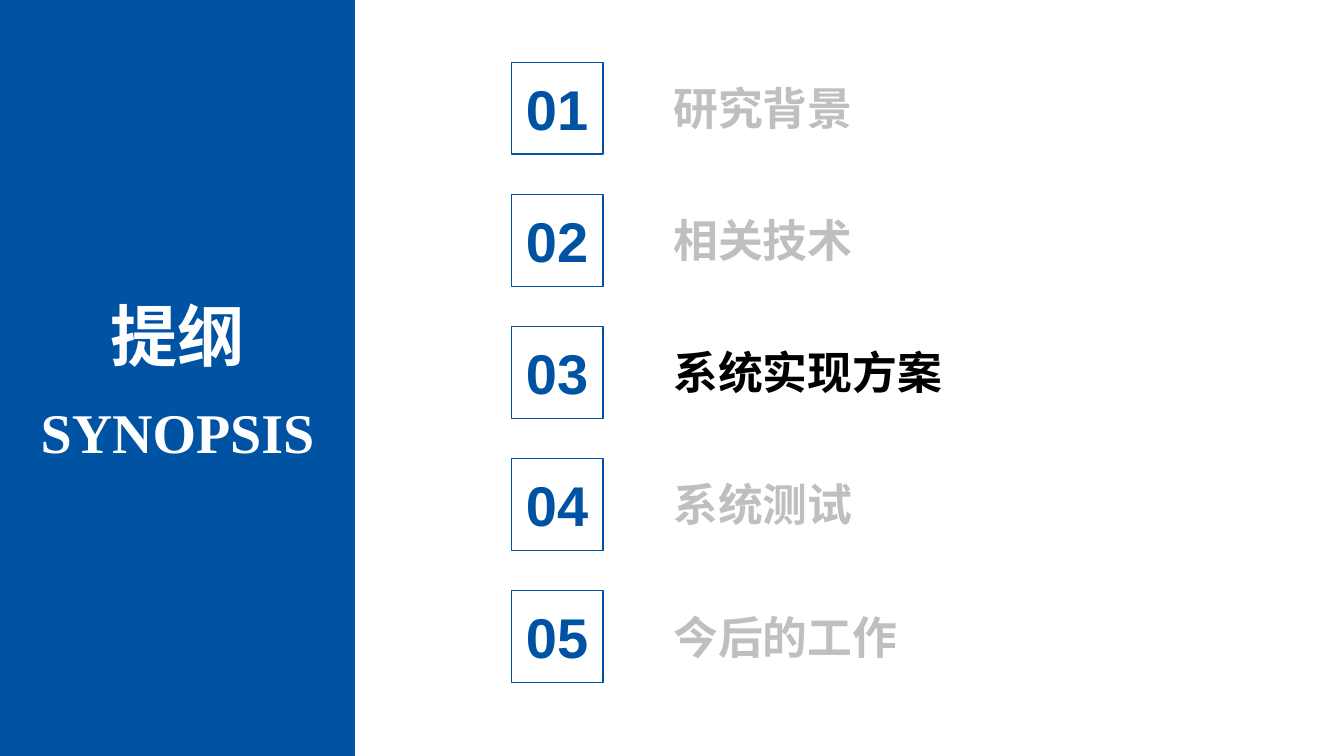
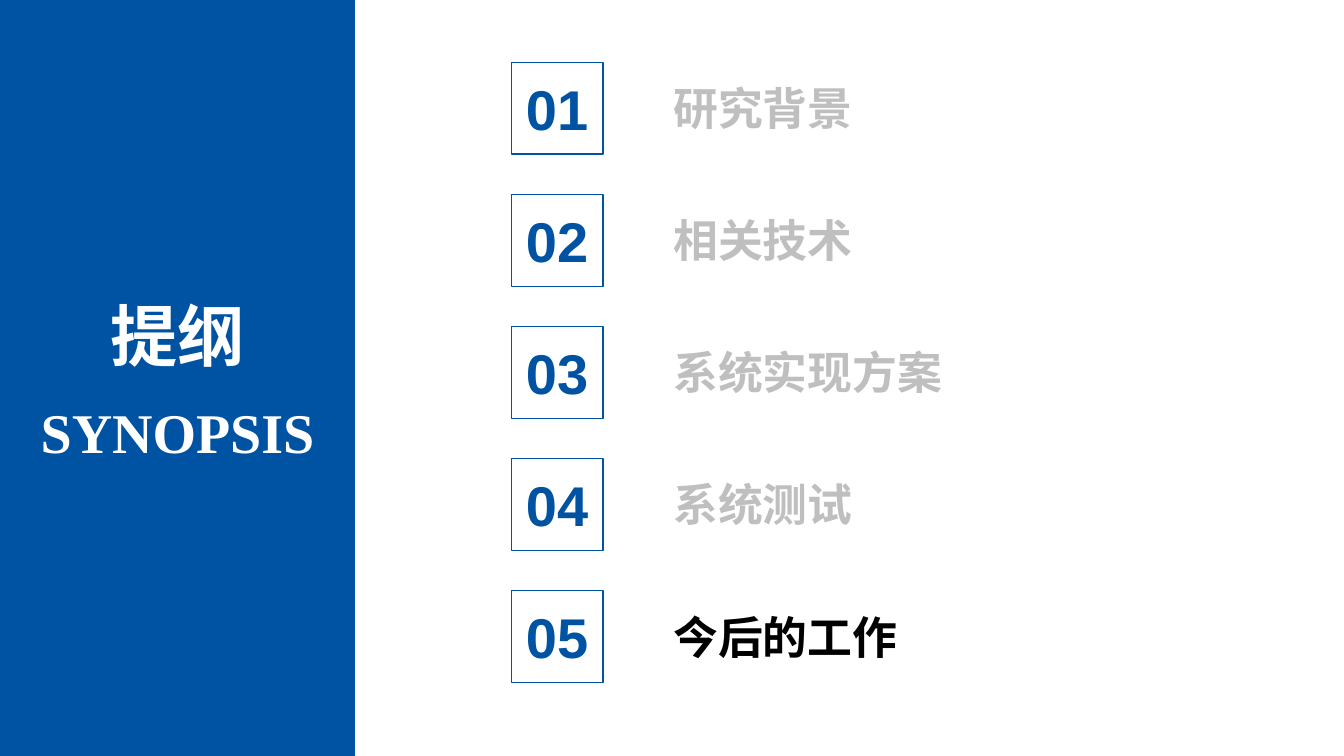
import lxml.etree
import pptx
import pptx.dml.color
import pptx.enum.shapes
import pptx.enum.text
import pptx.oxml.ns
import pptx.util

# Shared look
WIDTH, HEIGHT = 13.33, 7.5
BLUE, WHITE, BLACK, GREY = "0053A3", "FFFFFF", "000000", "BFBFBF"
CJK, LATIN, SERIF = "Noto Sans CJK SC", "Arial", "Times New Roman"

# Layout: a side panel, then one row per section
PANEL_W = 3.52
NUMBER_X, LABEL_X = 5.07, 6.58
NUMBER_SIZE = 0.91
LABEL_W, LABEL_H = 3.97, 0.64
FIRST_ROW, ROW_STEP = 0.62, 1.31

SECTIONS = ["研究背景", "相关技术", "系统实现方案", "系统测试", "今后的工作"]


def rgb(color):
    return pptx.dml.color.RGBColor.from_string(color)


def box(*lengths):
    return [pptx.util.Inches(length) for length in lengths]


def write(tf, text, size, font, color, centred=True):
    p = tf.paragraphs[0]
    p.text = text
    if centred:
        p.alignment = pptx.enum.text.PP_ALIGN.CENTER
    p.font.size = pptx.util.Pt(size)
    p.font.bold = True
    p.font.name = font
    p.font.color.rgb = rgb(color)
    # East Asian characters take their font from a:ea
    latin = p._p.find(".//" + pptx.oxml.ns.qn("a:latin"))
    ea = lxml.etree.Element(pptx.oxml.ns.qn("a:ea"), typeface=font)
    latin.addnext(ea)


def add_text(shapes, at, text, size, font, color, centred=True):
    tf = shapes.add_textbox(*box(*at)).text_frame
    tf.word_wrap = True
    tf.auto_size = pptx.enum.text.MSO_AUTO_SIZE.SHAPE_TO_FIT_TEXT
    write(tf, text, size, font, color, centred)


def add_rect(shapes, at, fill=None, line=None):
    sp = shapes.add_shape(pptx.enum.shapes.MSO_SHAPE.RECTANGLE, *box(*at))
    sp.shadow.inherit = False
    if fill:
        sp.fill.solid()
        sp.fill.fore_color.rgb = rgb(fill)
    else:
        sp.fill.background()
    if line:
        sp.line.color.rgb = rgb(line)
        sp.line.width = pptx.util.Pt(1)
    else:
        sp.line.fill.background()
    return sp


def add_panel(s):
    add_rect(s.shapes, (0, 0, PANEL_W, HEIGHT), fill=BLUE)
    add_text(s.shapes, (0, 2.87, PANEL_W, 0.91), "提纲", 48, CJK, WHITE)
    add_text(s.shapes, (0, 3.89, PANEL_W, 0.77), "SYNOPSIS", 40, SERIF, WHITE)


def add_section(s, row, label, color):
    top = FIRST_ROW + row * ROW_STEP
    label_top = top + (NUMBER_SIZE - LABEL_H) / 2
    shapes = s.shapes.add_group_shape().shapes
    add_text(shapes, (LABEL_X, label_top, LABEL_W, LABEL_H),
             label, 32, CJK, color, centred=False)
    sp = add_rect(shapes, (NUMBER_X, top, NUMBER_SIZE, NUMBER_SIZE), line=BLUE)
    sp.text_frame.vertical_anchor = pptx.enum.text.MSO_ANCHOR.MIDDLE
    write(sp.text_frame, f"{row + 1:02d}", 40, LATIN, BLUE)


def add_outline(prs, current):
    s = prs.slides.add_slide(prs.slide_layouts[6])
    add_panel(s)
    for row, label in enumerate(SECTIONS):
        add_section(s, row, label, BLACK if label == current else GREY)


def main():
    prs = pptx.Presentation()
    prs.slide_width, prs.slide_height = box(WIDTH, HEIGHT)
    for current in ("系统实现方案", "今后的工作"):
        add_outline(prs, current)
    prs.save("out.pptx")


if __name__ == "__main__":
    main()
